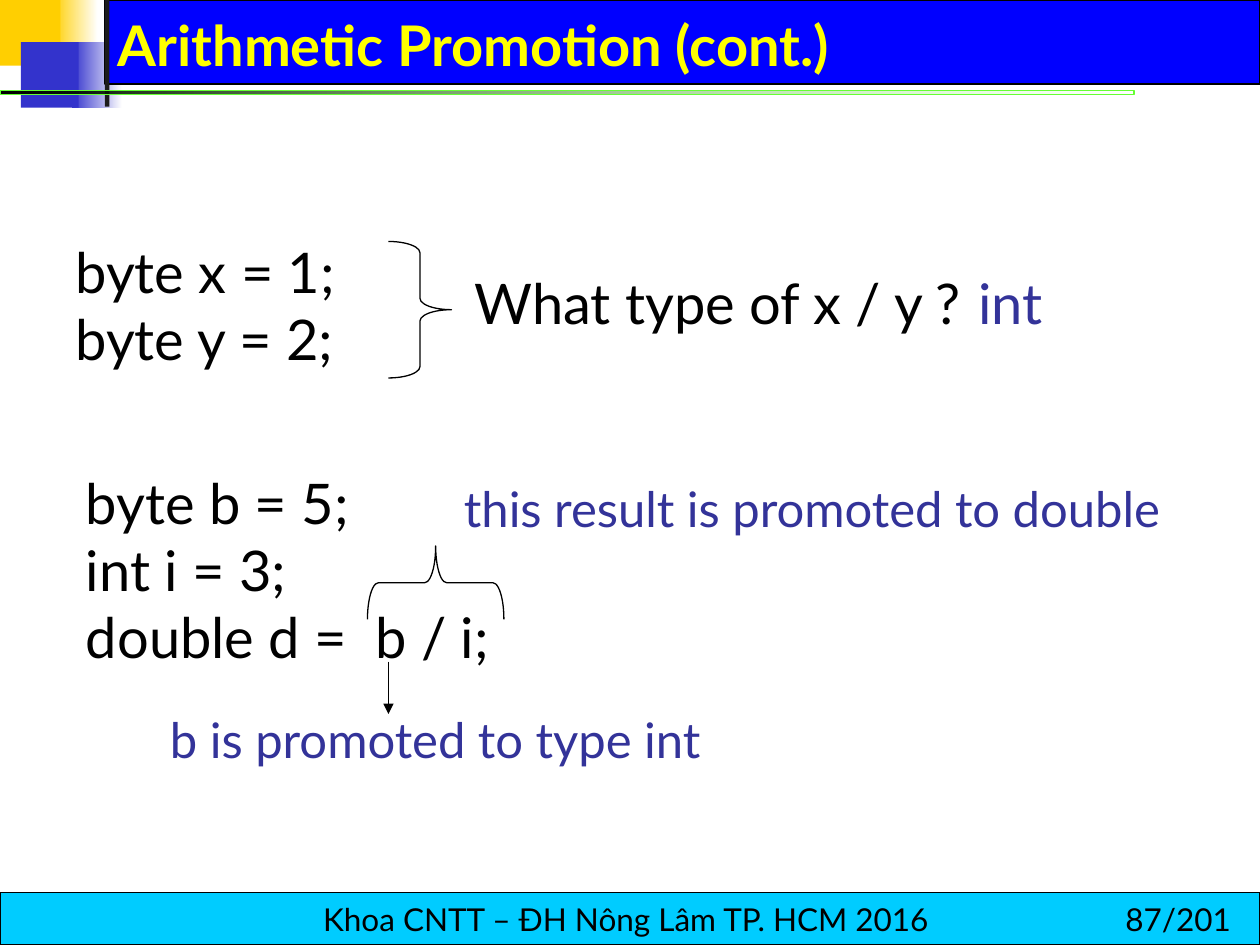
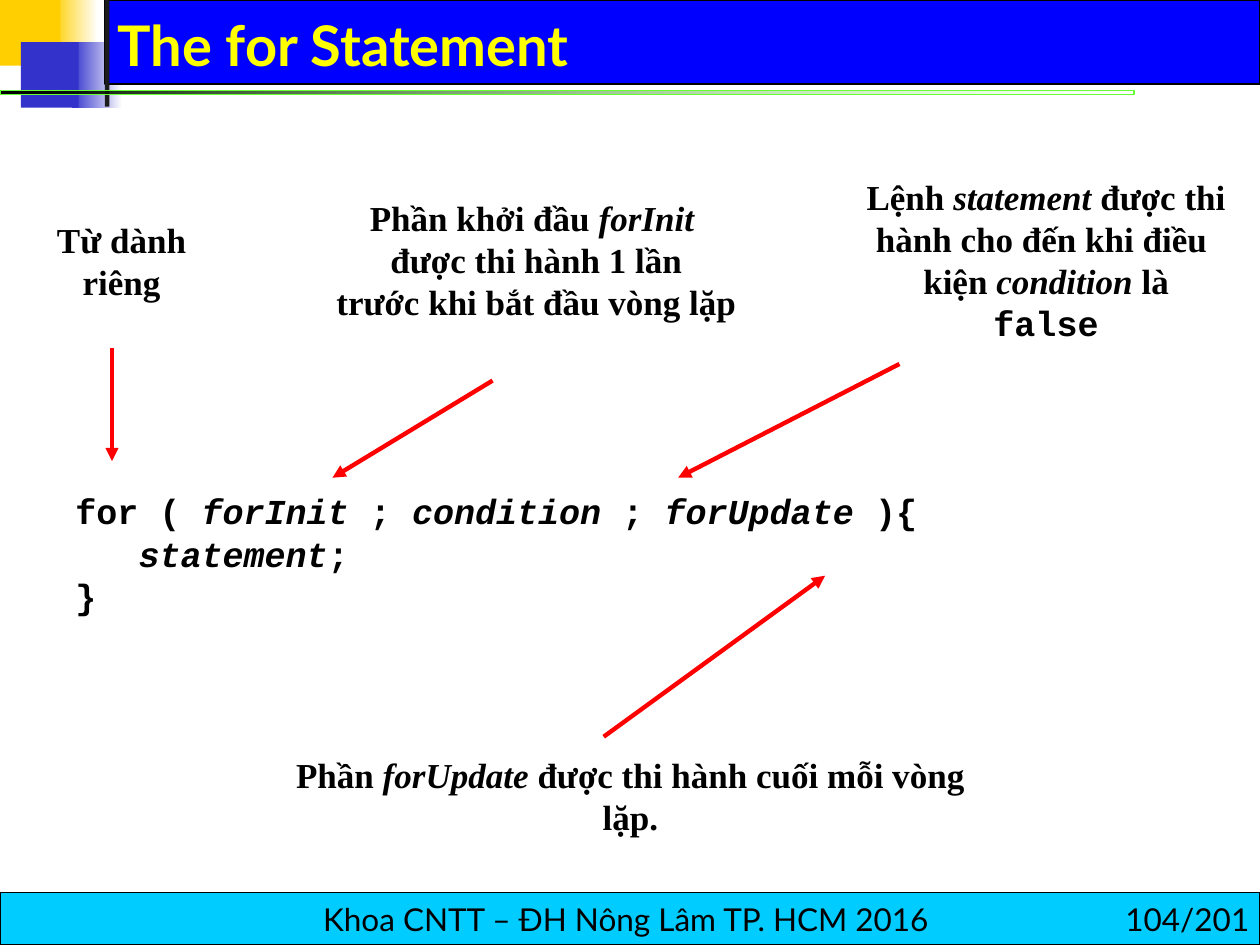
from dataclasses import dataclass

from lxml import etree
from pptx import Presentation
from pptx.dml.color import RGBColor
from pptx.enum import shapes, text
from pptx.oxml import ns
from pptx.util import Pt


@dataclass(frozen=True)
class Theme:
    black: str = "000000"
    white: str = "FFFFFF"
    gold: str = "FFCF01"
    indigo: str = "3333CC"
    charcoal: str = "1C1C1C"
    title_band: str = "0000FF"
    title_text: str = "FFFF00"
    footer_band: str = "00CCFF"
    rule: str = "66FF33"
    answer: str = "333399"
    arrow: str = "FF0000"
    sans: str = "Lato"
    serif: str = "Times New Roman"
    code: str = "Courier New"
    large: int = 32
    medium: int = 28
    small: int = 20
    footer: int = 18
    thin: float = 0.75
    thick: float = 2.5


THEME = Theme()
RECTANGLE = shapes.MSO_SHAPE.RECTANGLE
BRACE = shapes.MSO_SHAPE.RIGHT_BRACE
LEFT, CENTER = text.PP_ALIGN.LEFT, text.PP_ALIGN.CENTER
TOP, MIDDLE, BOTTOM = (text.MSO_ANCHOR.TOP, text.MSO_ANCHOR.MIDDLE,
                       text.MSO_ANCHOR.BOTTOM)


def color(value):
    return RGBColor.from_string(value)


def points(box):
    return [Pt(length) for length in box]


def add_shape(slide, kind, box, fill=None, line=None, width=THEME.thin):
    shape = slide.shapes.add_shape(kind, *points(box))
    shape.shadow.inherit = False
    if fill is None:
        shape.fill.background()
    elif isinstance(fill, tuple):
        shape.fill.gradient()
        shape.fill.gradient_angle = 0
        for position, (stop, value) in enumerate(
                zip(shape.fill.gradient_stops, fill)):
            stop.position = position
            stop.color.rgb = color(value)
    else:
        shape.fill.solid()
        shape.fill.fore_color.rgb = color(fill)
    if line is None:
        shape.line.fill.background()
    else:
        shape.line.color.rgb = color(line)
        shape.line.width = Pt(width)
    return shape


def write(shape, lines, size, font=THEME.sans, ink=THEME.black, bold=False,
          align=LEFT, anchor=TOP):
    frame = shape.text_frame
    frame.word_wrap = True
    frame.auto_size = text.MSO_AUTO_SIZE.NONE
    frame.vertical_anchor = anchor
    for number, line in enumerate(lines):
        paragraph = frame.add_paragraph() if number else frame.paragraphs[0]
        paragraph.alignment = align
        paragraph.font.name = font
        paragraph.font.size = Pt(size)
        paragraph.font.bold = bold
        paragraph.font.color.rgb = color(ink)
        for position, part in enumerate(line.split("*")):
            if part:
                run = paragraph.add_run()
                run.text = part
                if position % 2:
                    run.font.italic = True
    return shape


def add_text(slide, box, lines, size=THEME.large, **style):
    return write(slide.shapes.add_textbox(*points(box)), lines, size, **style)


def add_note(slide, box, lines):
    return add_text(slide, box, lines, THEME.small, font=THEME.serif,
                    bold=True, align=CENTER, anchor=MIDDLE)


def add_brace(slide, box, curve, rotation=0):
    brace = add_shape(slide, BRACE, box, line=THEME.black)
    brace.adjustments[0] = curve
    brace.rotation = rotation


def add_arrow(slide, start, end, ink, width):
    arrow = slide.shapes.add_connector(
        shapes.MSO_CONNECTOR.STRAIGHT, *points(start + end))
    arrow.line.color.rgb = color(ink)
    arrow.line.width = Pt(width)
    line = arrow.line._get_or_add_ln()
    etree.SubElement(line, ns.qn("a:tailEnd"), type="triangle")
    etree.SubElement(arrow._element.spPr, ns.qn("a:effectLst"))


def add_frame(slide):
    add_shape(slide, RECTANGLE, (30, 0, 26, 37.5), (THEME.gold, THEME.white))
    add_shape(slide, RECTANGLE, (41, 24, 29, 37.5),
              (THEME.indigo, THEME.white))
    add_shape(slide, RECTANGLE, (60, 0, 660, 48), THEME.title_band,
              THEME.black)
    add_shape(slide, RECTANGLE, (0, 0, 34.5, 37.5), THEME.gold)
    add_shape(slide, RECTANGLE, (12, 24, 33, 37.5), THEME.indigo)
    add_shape(slide, RECTANGLE, (60, 0, 2.5, 61), THEME.charcoal)
    rule = add_shape(slide, RECTANGLE, (0, 51.75, 648, 2.25),
                     (THEME.black, THEME.rule), THEME.rule, 0)
    clear_end = rule._element.xpath(".//a:gs/a:srgbClr")[-1]
    etree.SubElement(clear_end, ns.qn("a:alpha"), val="0")
    footer = add_shape(slide, RECTANGLE, (0, 510, 720, 30),
                       THEME.footer_band, THEME.black)
    write(footer, ["Khoa CNTT – ĐH Nông Lâm TP. HCM 2016 "], THEME.footer,
          align=CENTER, anchor=MIDDLE)


def install_frame(slide):
    add_frame(slide)
    tree = slide.slide_layout.shapes._spTree
    frame = [shape for shape in slide.shapes if not shape.is_placeholder]
    for position, shape in enumerate(frame):
        shape._element.nvSpPr.cNvPr.set("id", str(100 + position))
        tree.insert(2 + position, shape._element)


def add_slide(presentation, title, page):
    slide = presentation.slides.add_slide(presentation.slide_layouts[5])
    if len(presentation.slides) == 1:
        install_frame(slide)
    heading = slide.shapes.title
    heading.left, heading.top, heading.width, heading.height = points(
        (60, 6, 644, 42))
    write(heading, [title], THEME.large, ink=THEME.title_text, bold=True,
          anchor=BOTTOM)
    number = add_text(slide, (636, 511, 84, 29), [page], THEME.footer)
    number.text_frame.margin_right = 0
    return slide


def build_promotion(presentation):
    slide = add_slide(presentation, "Arithmetic Promotion (cont.)", "87/201")
    add_text(slide, (36, 132, 228, 84), ["byte x = 1;", "byte y = 2;"])
    add_brace(slide, (222, 138, 36, 78), 0.18)
    add_text(slide, (264, 150, 312, 45), ["What type of x / y ?"])
    add_text(slide, (42, 264, 516, 122),
             ["byte b = 5;", "int i = 3;", "double d =  b / i;"])
    add_text(slide, (552, 150, 102, 45), ["int"], ink=THEME.answer)
    add_text(slide, (90, 402, 348, 41), ["b is promoted to type int"],
             THEME.medium, ink=THEME.answer)
    add_brace(slide, (228, 294, 42, 78), 0.15, 270)
    add_text(slide, (258, 270, 420, 41),
             ["this result is promoted to double"],
             THEME.medium, ink=THEME.answer)
    add_arrow(slide, (222, 378), (222, 408), THEME.black, THEME.thin)


def build_for_statement(presentation):
    slide = add_slide(presentation, "The for Statement", "104/201")
    add_text(slide, (36, 276, 565, 80),
             ["for ( *forInit* ; *condition* ; *forUpdate *){",
              "   *statement*;", "}"],
             THEME.small, font=THEME.code, bold=True, anchor=MIDDLE)
    add_note(slide, (25, 121, 89, 56), ["Từ dành", "riêng"])
    add_note(slide, (127.5, 109, 358, 79),
             ["Phần khởi đầu *forInit *", "được thi hành 1 lần",
              "trước khi bắt đầu vòng lặp"])
    condition = add_note(slide, (488, 109, 219.5, 79),
                         ["Lệnh *statement* được thi",
                          "hành cho đến khi điều ", "kiện *condition* là "])
    keyword = condition.text_frame.paragraphs[-1].add_run()
    keyword.text = "false"
    keyword.font.name = THEME.code
    add_note(slide, (144, 439, 432.5, 31),
             ["Phần *forUpdate* được thi hành cuối mỗi vòng lặp."])
    for start, end in (((64, 199), (64, 263.5)),
                       ((281.5, 217.5), (190, 273)),
                       ((514, 208), (387.5, 273)),
                       ((345, 421), (471.5, 329))):
        add_arrow(slide, start, end, THEME.arrow, THEME.thick)


def main():
    presentation = Presentation()
    presentation.slide_width, presentation.slide_height = Pt(720), Pt(540)
    build_promotion(presentation)
    build_for_statement(presentation)
    presentation.save("out.pptx")


if __name__ == "__main__":
    main()
